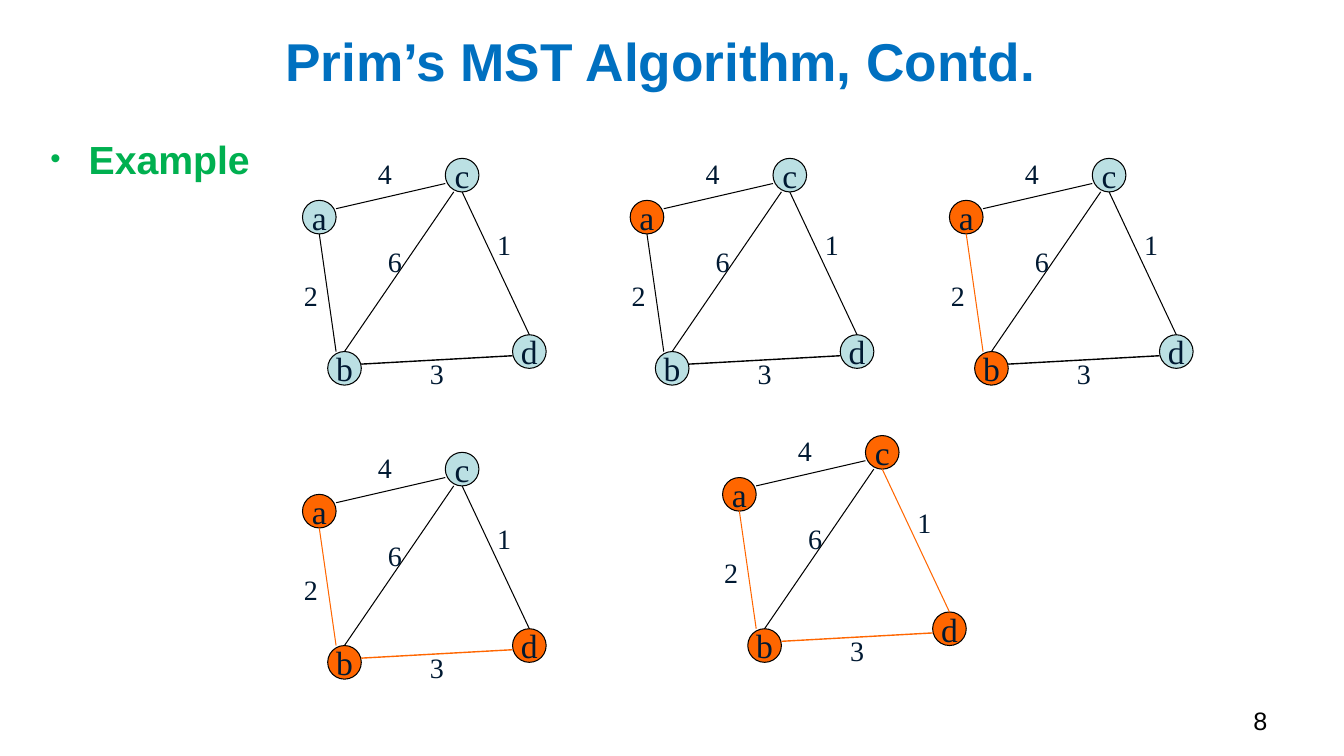
import pptx
import pptx.util
import pptx.dml.color
import pptx.enum.shapes
import pptx.enum.text
import pptx.oxml.ns
import lxml.etree
from dataclasses import dataclass

# Content
TITLE = "Prim’s MST Algorithm, Contd."
BULLET = "Example"
PAGE_NUMBER = "8"

# Graph layout in grid cells, measured from the left of a and the top of c
NODES = {"c": (17, 0), "d": (25, 21), "b": (3, 23), "a": (0, 5)}
# edge: (start, end, weight, place of weight, line width)
EDGES = {
    "ac": ((4, 6), (17, 3), "4", (7.8, -0.8), 0.75),
    "ab": ((4, 23), (2, 9), "2", (-1, 13.7), 0.75),
    "bc": ((5, 23), (18, 4), "6", (9, 9.7), 0.75),
    "cd": ((27, 21), (19, 4), "1", (22, 7.7), 0.75),
    "bd": ((7, 24.5), (25, 23.5), "3", (14, 23), 1),
}
# Each step: (column, row, visited nodes, tree edges)
STEPS = [
    (36, 18.85, "", ()),
    (75, 18.85, "a", ()),
    (113, 18.85, "ab", ("ab",)),
    (36, 53.85, "abd", ("ab", "bd")),
    (86, 51.85, "abcd", ("ab", "bd", "cd")),
]
NODE_SIZE = 4
WEIGHT_SIZE = (4.08, 5.16)
CELLS_PER_INCH = 12


@dataclass(frozen=True)
class Theme:
    title: str = "0070C0"
    bullet: str = "00B050"
    label: str = "001932"
    black: str = "000000"
    white: str = "FFFFFF"
    unvisited: str = "BBE0E3"
    chosen: str = "FF6600"
    heading_font: str = "Arial"
    graph_font: str = "Times New Roman"
    title_size: int = 38
    bullet_size: int = 28
    node_size: int = 24
    weight_size: int = 20
    page_size: int = 18


THEME = Theme()
ALIGN = pptx.enum.text.PP_ALIGN
ANCHOR = pptx.enum.text.MSO_ANCHOR
AUTO_SIZE = pptx.enum.text.MSO_AUTO_SIZE


def cells(value):
    return pptx.util.Inches(value / CELLS_PER_INCH)


def color(value):
    return pptx.dml.color.RGBColor.from_string(value)


def place(shape, left, top, width, height):
    shape.left, shape.top, shape.width, shape.height = map(
        pptx.util.Inches, (left, top, width, height))


def write_text(shape, text, *, size, fill, font=THEME.graph_font, bold=False,
               align=ALIGN.LEFT, anchor=ANCHOR.TOP, wrap=False, margin=None,
               grow=False, line_spacing=None, bullet_indent=None):
    frame = shape.text_frame
    frame.word_wrap = wrap
    frame.vertical_anchor = anchor
    frame.auto_size = AUTO_SIZE.SHAPE_TO_FIT_TEXT if grow else AUTO_SIZE.NONE
    if margin is not None:
        frame.margin_left = frame.margin_right = margin
        frame.margin_top = frame.margin_bottom = margin
    paragraph = frame.paragraphs[0]
    paragraph.alignment = align
    paragraph.space_before = pptx.util.Pt(0)
    if line_spacing:
        paragraph.line_spacing = pptx.util.Pt(line_spacing)
    if bullet_indent:
        properties = paragraph._p.get_or_add_pPr()
        indent = pptx.util.Inches(bullet_indent)
        properties.set("marL", str(indent))
        properties.set("indent", str(-indent))
        for tag, name, value in (("a:buSzPct", "val", "75000"),
                                 ("a:buFont", "typeface", THEME.heading_font),
                                 ("a:buChar", "char", "•")):
            lxml.etree.SubElement(
                properties, pptx.oxml.ns.qn(tag)).set(name, value)
    run = paragraph.add_run()
    run.text = text
    run.font.name = font
    run.font.size = pptx.util.Pt(size)
    run.font.bold = bold
    run.font.color.rgb = color(fill)


def add_node(group, name, left, top, visited):
    node = group.shapes.add_shape(
        pptx.enum.shapes.MSO_SHAPE.OVAL,
        cells(left), cells(top), cells(NODE_SIZE), cells(NODE_SIZE))
    node.shadow.inherit = False
    node.fill.solid()
    node.fill.fore_color.rgb = color(
        THEME.chosen if visited else THEME.unvisited)
    node.line.color.rgb = color(THEME.black)
    node.line.width = pptx.util.Pt(0.75)
    write_text(node, name, size=THEME.node_size, fill=THEME.label,
               align=ALIGN.CENTER, anchor=ANCHOR.MIDDLE)


def add_edge(group, start, end, width, in_tree):
    edge = group.shapes.add_connector(
        pptx.enum.shapes.MSO_CONNECTOR.STRAIGHT,
        *map(cells, (*start, *end)))
    edge.line.color.rgb = color(THEME.chosen if in_tree else THEME.black)
    edge.line.width = pptx.util.Pt(width)
    lxml.etree.SubElement(
        edge._element.spPr, pptx.oxml.ns.qn("a:effectLst"))


def add_graph(slide, column, row, visited, tree):
    def shift(point):
        return column + point[0], row + point[1]

    group = slide.shapes.add_group_shape()
    for name, point in NODES.items():
        add_node(group, name, *shift(point), name in visited)
    for edge, (start, end, weight, spot, width) in EDGES.items():
        add_edge(group, shift(start), shift(end), width, edge in tree)
        label = group.shapes.add_textbox(
            *map(cells, (*shift(spot), *WEIGHT_SIZE)))
        write_text(label, weight, size=THEME.weight_size, fill=THEME.label,
                   grow=True)


def main():
    presentation = pptx.Presentation()
    presentation.slide_width = pptx.util.Inches(13.33)
    presentation.slide_height = pptx.util.Inches(7.5)
    slide = presentation.slides.add_slide(presentation.slide_layouts[1])

    # Title and bullet list
    title, body = slide.placeholders
    place(title, 0.5, 0.37, 12.1, 0.55)
    title.fill.solid()
    title.fill.fore_color.rgb = color(THEME.white)
    write_text(title, TITLE, size=THEME.title_size, fill=THEME.title,
               font=THEME.heading_font, bold=True, align=ALIGN.CENTER,
               anchor=ANCHOR.MIDDLE, wrap=True, margin=0, grow=True,
               line_spacing=39.2)
    place(body, 0.5, 1.34, 12.5, 0.47)
    write_text(body, BULLET, size=THEME.bullet_size, fill=THEME.bullet,
               font=THEME.heading_font, bold=True, wrap=True, margin=0,
               grow=True, bullet_indent=0.38)

    # Page number
    page = slide.shapes.add_textbox(0, 0, 0, 0)
    place(page, 9.56, 6.95, 3.11, 0.4)
    write_text(page, PAGE_NUMBER, size=THEME.page_size, fill=THEME.black,
               font=THEME.heading_font, align=ALIGN.RIGHT, wrap=True)

    # Steps of the algorithm
    for step in STEPS:
        add_graph(slide, *step)

    presentation.save("out.pptx")


if __name__ == "__main__":
    main()
